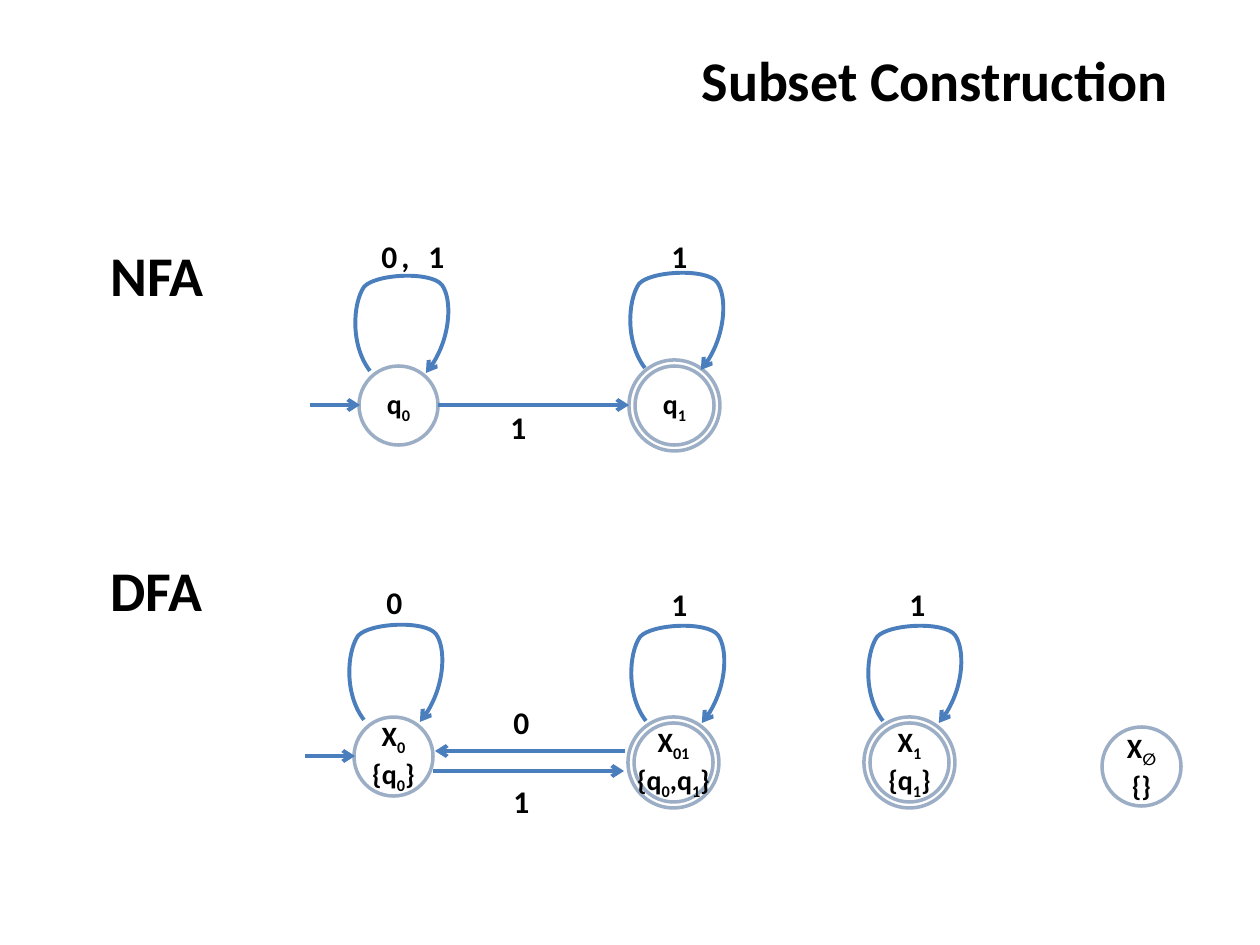
import lxml.etree
import pptx
import pptx.dml.color
import pptx.enum.shapes
import pptx.enum.text
import pptx.oxml.ns
import pptx.util

PX = 914400 / 126  # EMU per px
BLACK = pptx.dml.color.RGBColor(0x00, 0x00, 0x00)
WHITE = pptx.dml.color.RGBColor(0xFF, 0xFF, 0xFF)
RING = pptx.dml.color.RGBColor(0x3A, 0x5F, 0x8C)
ARROW = pptx.dml.color.RGBColor(0x4B, 0x7E, 0xBC)

# Start point, then three cubic curves, relative to the loop's corner
LOOP = [(20, 100),
        (0, 74), (3, 32), (14, 16),
        (25, 3), (81, 0), (92, 14),
        (102, 28), (101, 73), (76, 102)]


def px(*lengths):
    return [pptx.util.Emu(round(n * PX)) for n in lengths]


def add_xml(parent, tag, **attributes):
    return lxml.etree.SubElement(parent, pptx.oxml.ns.qn(tag), attributes)


class AutomatonSlide:
    font = "Calibri"
    state_size, label_size, heading_size = 16, 18, 32

    def __init__(self, prs):
        self.slide = prs.slides.add_slide(prs.slide_layouts[5])
        self.shapes = self.slide.shapes

    def run(self, p, text, size, subscript=False):
        r = p.add_run()
        r.text = text
        r.font.name = self.font
        r.font.size = pptx.util.Pt(size)
        r.font.bold = True
        r.font.color.rgb = BLACK
        if subscript:
            r._r.get_or_add_rPr().set("baseline", "-25000")

    def title(self, text, left, top, width, height):
        sp = self.shapes.title
        sp.left, sp.top, sp.width, sp.height = px(left, top, width, height)
        self.fill_text(sp.text_frame, text, self.heading_size)

    def text(self, text, left, top, width=88, height=50, size=label_size):
        sp = self.shapes.add_textbox(*px(left, top, width, height))
        self.fill_text(sp.text_frame, text, size)

    def heading(self, text, left, top):
        self.text(text, left, top, 128, 81, self.heading_size)

    def fill_text(self, tf, text, size):
        tf.word_wrap = True
        tf.auto_size = pptx.enum.text.MSO_AUTO_SIZE.NONE
        tf.vertical_anchor = pptx.enum.text.MSO_ANCHOR.TOP
        p = tf.paragraphs[0]
        p.alignment = pptx.enum.text.PP_ALIGN.LEFT
        self.run(p, text, size)

    def circle(self, cx, cy, size):
        sp = self.shapes.add_shape(
            pptx.enum.shapes.MSO_SHAPE.OVAL,
            *px(cx - size // 2, cy - size // 2, size, size))
        sp.shadow.inherit = False
        sp.fill.solid()
        sp.fill.fore_color.rgb = WHITE
        sp.line.color.rgb = RING
        sp.line.width = pptx.util.Pt(2)
        color = sp._element.xpath("./p:spPr/a:ln//a:srgbClr")[0]
        add_xml(color, "a:alpha", val="50000")
        return sp

    def state(self, cx, cy, lines, accepting=False):
        """Each line alternates normal and subscript text."""
        if accepting:
            self.circle(cx, cy, 91)
        tf = self.circle(cx, cy, 79).text_frame
        tf.word_wrap = False
        tf.vertical_anchor = pptx.enum.text.MSO_ANCHOR.MIDDLE
        for i, parts in enumerate(lines):
            p = tf.add_paragraph() if i else tf.paragraphs[0]
            p.alignment = pptx.enum.text.PP_ALIGN.CENTER
            for j, part in enumerate(parts):
                self.run(p, part, self.state_size, subscript=j % 2 == 1)

    def arrow_line(self, sp):
        sp.line.color.rgb = ARROW
        sp.line.width = pptx.util.Pt(2.25)
        add_xml(sp.line._get_or_add_ln(), "a:tailEnd", type="arrow")

    def arrow(self, x1, x2, y):
        cxn = self.shapes.add_connector(
            pptx.enum.shapes.MSO_CONNECTOR.STRAIGHT, *px(x1, y, x2, y))
        self.arrow_line(cxn)
        add_xml(cxn._element.spPr, "a:effectLst")

    def loop(self, left, top):
        builder = self.shapes.build_freeform(*LOOP[0], scale=PX)
        builder.add_line_segments(LOOP[1:], close=False)
        sp = builder.convert_to_shape(*px(left, top))
        # Turn every three line segments into one cubic curve
        segments = sp._element.xpath(".//a:lnTo")
        outline = segments[0].getparent()
        for i in range(0, len(segments), 3):
            curve = add_xml(outline, "a:cubicBezTo")
            for segment in segments[i:i + 3]:
                curve.append(segment[0])
                outline.remove(segment)
        sp.shadow.inherit = False
        sp.fill.background()
        self.arrow_line(sp)


def main():
    prs = pptx.Presentation()
    prs.slide_width, prs.slide_height = px(1260, 945)
    s = AutomatonSlide(prs)

    # Headings
    s.title("Subset Construction", 689, 39, 494, 81)
    s.heading("NFA", 98, 234)
    s.heading("DFA", 98, 549)

    # NFA states
    s.state(398, 405, [["q", "0"]])
    s.state(674, 405, [["q", "1"]], accepting=True)

    # DFA states
    s.state(393, 756, [["X", "0"], ["{q", "0", "}"]])
    s.state(673, 762, [["X", "01"], ["{q", "0", ",q", "1", "}"]], accepting=True)
    s.state(909, 762, [["X", "1"], ["{q", "1", "}"]], accepting=True)
    s.state(1141, 766, [["X", "∅"], ["{}"]])

    # Start arrows and transitions
    for x1, x2, y in [(310, 360, 405), (438, 629, 405),
                      (305, 355, 756), (433, 624, 771), (625, 435, 751)]:
        s.arrow(x1, x2, y)

    # Self-loops
    for left, top in [(350, 271), (625, 268),
                      (344, 620), (626, 621), (863, 621)]:
        s.loop(left, top)

    # Transition labels
    for text, left, top in [("0", 369, 231), (",", 389, 231), ("1", 416, 231),
                            ("1", 659, 231), ("1", 498, 402),
                            ("0", 374, 577), ("1", 659, 579), ("1", 897, 579),
                            ("0", 501, 697), ("1", 501, 776)]:
        s.text(text, left, top)

    prs.save("out.pptx")


if __name__ == "__main__":
    main()
